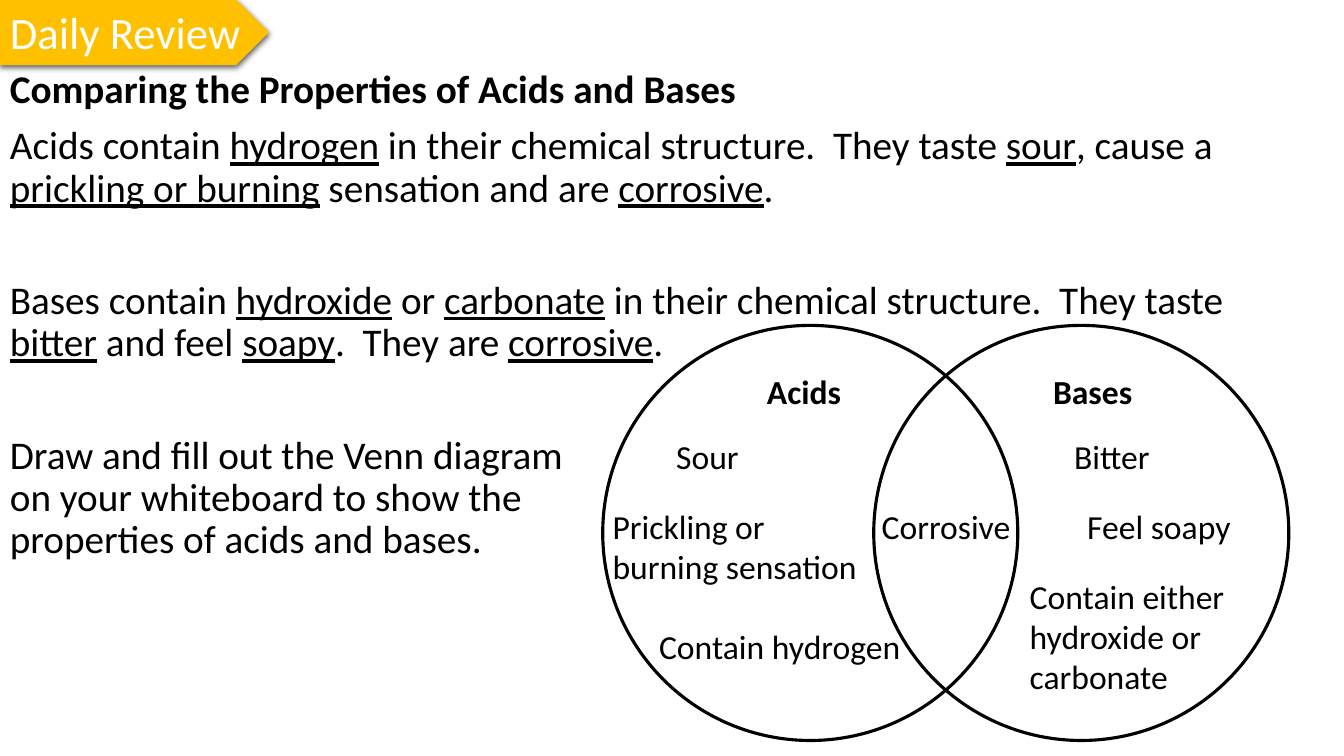
from lxml import etree
from pptx import Presentation
from pptx.dml.color import RGBColor
from pptx.enum import shapes, text
from pptx.oxml import ns
from pptx.util import Cm, Pt

BLACK = RGBColor(0x00, 0x00, 0x00)
WHITE = RGBColor(0xFF, 0xFF, 0xFF)
GOLD = RGBColor(0xFF, 0xC0, 0x00)
FONT = "Calibri"

LINE_HEIGHT = 1.27
CIRCLE_SIZE = 10.46
CIRCLE_TOP = 8.2
CIRCLE_LEFTS = (15.19, 22.02)

REVIEW = [
    (0, [("Comparing the Properties of Acids and Bases", "bold")]),
    (10, [("Acids contain ", ""), ("hydrogen", "underline"),
          (" in their chemical structure.  They taste ", ""), ("sour", "underline"),
          (", cause a ", ""), ("prickling or burning", "underline"),
          (" sensation and are ", ""), ("corrosive", "underline"), (".", "")]),
    (50, [("Bases contain ", ""), ("hydroxide", "underline"), (" or ", ""),
          ("carbonate", "underline"), (" in their chemical structure.  They taste ", ""),
          ("bitter", "underline"), (" and feel ", ""), ("soapy", "underline"),
          (".  They are ", ""), ("corrosive", "underline"), (".", "")]),
    (50, [("Draw and fill out the Venn diagram", "break"),
          ("on your whiteboard to show the", "break"),
          ("properties of acids and bases.", "")]),
]

LABELS = [
    ("Acids", 19.08, 9.22, 2.39, 1, "bold"),
    ("Bases", 26.29, 9.22, 2.54, 1, "bold"),
    ("Corrosive", 21.97, 12.62, 3.78, 1, ""),
    ("Sour", 16.79, 10.87, 2.11, 1, ""),
    ("Bitter", 26.82, 10.87, 2.44, 1, ""),
    ("Prickling or burning sensation", 15.19, 12.62, 6.99, 2, ""),
    ("Feel soapy", 27.15, 12.62, 4.17, 1, ""),
    ("Contain hydrogen", 16.36, 15.65, 6.65, 1, ""),
    ("Contain either hydroxide or carbonate", 25.7, 14.38, 7.06, 3, ""),
]


def add_span(para, words, size, color=BLACK, style=""):
    span = para.add_run()
    span.text = words
    span.font.name = FONT
    span.font.size = Pt(size)
    span.font.color.rgb = color
    span.font.bold = style == "bold"
    span.font.underline = style == "underline"


def add_shadow(shape):
    shape.shadow.inherit = False
    effects = shape._element.spPr.find(ns.qn("a:effectLst"))
    shadow = etree.SubElement(effects, ns.qn("a:outerShdw"), blurRad=str(Pt(4.5)),
                              dist=str(Pt(1.5)), dir="5400000", rotWithShape="0")
    color = etree.SubElement(shadow, ns.qn("a:srgbClr"), val="000000")
    etree.SubElement(color, ns.qn("a:alpha"), val="63000")


def add_banner(page):
    banner = page.shapes.add_shape(shapes.MSO_SHAPE.PENTAGON, 0, 0, Cm(6.76), Cm(1.63))
    banner.fill.solid()
    banner.fill.fore_color.rgb = GOLD
    banner.line.color.rgb = GOLD
    banner.line.width = Pt(0.75)
    add_shadow(banner)
    frame = banner.text_frame
    frame.word_wrap = False
    frame.vertical_anchor = text.MSO_ANCHOR.TOP
    para = frame.paragraphs[0]
    para.alignment = text.PP_ALIGN.LEFT
    add_span(para, "Daily Review", 32, WHITE)


def add_review(page):
    frame = page.shapes.add_textbox(0, Cm(1.63), Cm(33.2), Cm(13.16)).text_frame
    frame.word_wrap = True
    for index, (gap, spans) in enumerate(REVIEW):
        para = frame.add_paragraph() if index else frame.paragraphs[0]
        para.line_spacing = 0.9
        para.space_before = Pt(gap)
        for words, style in spans:
            add_span(para, words, 28, style=style)
            if style == "break":
                para.add_line_break()


def add_circle(page, left):
    circle = page.shapes.add_shape(shapes.MSO_SHAPE.OVAL, Cm(left), Cm(CIRCLE_TOP),
                                   Cm(CIRCLE_SIZE), Cm(CIRCLE_SIZE))
    circle.shadow.inherit = False
    circle.fill.background()
    circle.line.color.rgb = BLACK
    circle.line.width = Pt(2.25)


def add_label(page, words, left, top, width, lines, style):
    box = page.shapes.add_textbox(Cm(left), Cm(top), Cm(width),
                                  Cm(LINE_HEIGHT + (lines - 1) * 1.03))
    box.text_frame.word_wrap = lines > 1
    add_span(box.text_frame.paragraphs[0], words, 24, style=style)


def main():
    deck = Presentation()
    deck.slide_width = Cm(33.87)
    deck.slide_height = Cm(19.05)
    page = deck.slides.add_slide(deck.slide_layouts[6])
    add_banner(page)
    add_review(page)
    for left in CIRCLE_LEFTS:
        add_circle(page, left)
    for label in LABELS:
        add_label(page, *label)
    deck.save("out.pptx")


if __name__ == "__main__":
    main()
